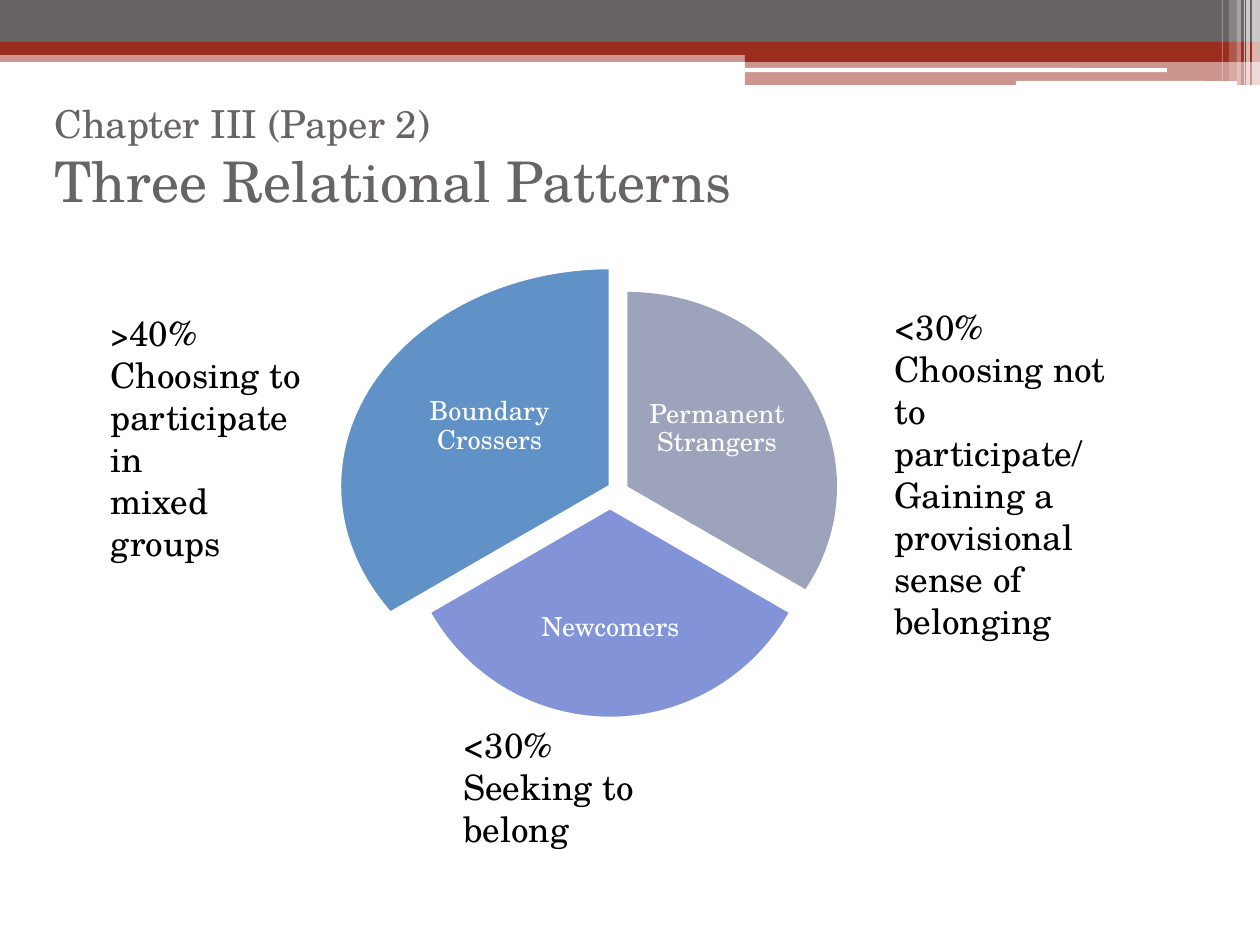
from lxml.etree import SubElement
from pptx import Presentation
from pptx.dml.color import RGBColor
from pptx.enum.shapes import MSO_SHAPE as Shape
from pptx.enum.text import MSO_ANCHOR as Anchor, MSO_AUTO_SIZE as AutoSize, PP_ALIGN as Align
from pptx.oxml.ns import qn
from pptx.util import Pt

FONT = "TeX Gyre Schola"
WHITE = RGBColor(0xFF, 0xFF, 0xFF)
BLACK = RGBColor(0x00, 0x00, 0x00)
GRAY = RGBColor(0x69, 0x64, 0x64)
RED = RGBColor(0x9B, 0x2D, 0x1F)
MAUVE = RGBColor(0x9E, 0xA3, 0xBC)
VIOLET = RGBColor(0x83, 0x93, 0xD7)
BLUE = RGBColor(0x60, 0x92, 0xC8)

TITLE = [("Chapter III (Paper 2) ", 22), ("Three Relational Patterns", 32)]
TITLE_AREA = (42, 73, 1134, 168)

BANDS = [
    (Shape.RECTANGLE, (0, 50, 1260, 12), RED, 50),
    (Shape.RECTANGLE, (0, 0, 1260, 43), GRAY, 100),
    (Shape.RECTANGLE, (0, 42, 1260, 13), RED, 100),
    (Shape.RECTANGLE, (745, 49, 515, 13), RED, 100),
    (Shape.RECTANGLE, (745, 61, 515, 24), RED, 50),
    (Shape.ROUNDED_RECTANGLE, (745, 68, 422, 4), WHITE, 100),
    (Shape.ROUNDED_RECTANGLE, (1016, 81, 221, 5), WHITE, 100),
]
STRIPES = [
    (1252, 8, 86, 65), (1246, 4, 86, 65), (1244, 1, 86, 60),
    (1237, 4, 86, 40), (1229, 8, 81, 20), (1222, 1, 81, 30),
]
SLICES = [
    ("Permanent Strangers", (418, 292, 419, 389), (162, 18), MAUVE, False, (646, 364, 142, 130)),
    ("Newcomers", (402, 298, 416, 420), (18, 90), VIOLET, True, (517, 563, 187, 130)),
    ("Boundary Crossers", (340, 268, 540, 436), (90, 162), BLUE, True, (398, 354, 183, 145)),
]
NOTES = [
    ((882, 299, 270, 310), [[("<30%", 20)], [("Choosing not to", 20)],
     [("participate/ Gaining a provisional sense of belonging", 20)]]),
    ((98, 305, 236, 224), [[(">", 18), ("40%", 20)], [("Choosing to", 20)],
     [("participate in", 20)], [("mixed groups", 20)]]),
    ((451, 717, 301, 97), [[("<30%", 20)], [("Seeking to belong", 20)]]),
]


def px(length):
    return round(length * 914400 / 126)


def place(area):
    return [px(length) for length in area]


def add_span(para, text, size, color):
    span = para.add_run()
    span.text = text
    span.font.name = FONT
    span.font.size = Pt(size)
    span.font.color.rgb = color


def add_filled(page, kind, area, color, opacity=100):
    shape = page.shapes.add_shape(kind, *place(area))
    shape.shadow.inherit = False
    shape.fill.solid()
    shape.fill.fore_color.rgb = color
    shape.line.fill.background()
    if opacity < 100:
        tint = shape.fill._xPr.find(qn("a:solidFill"))[0]
        SubElement(tint, qn("a:alpha")).set("val", str(opacity * 1000))
    return shape


def add_title(page):
    title = page.shapes.title
    title.left, title.top, title.width, title.height = place(TITLE_AREA)
    frame = title.text_frame
    frame.vertical_anchor = Anchor.MIDDLE
    frame.auto_size = AutoSize.NONE
    para = frame.paragraphs[0]
    para.alignment = Align.LEFT
    for index, (text, size) in enumerate(TITLE):
        if index:
            para.add_line_break()
        add_span(para, text, size, GRAY)


def add_slice(page, label, area, angles, color, outlined, label_area):
    pie = add_filled(page, Shape.PIE, area, color)
    for index, angle in enumerate(angles):
        pie.adjustments[index] = angle
    if outlined:
        pie.line.color.rgb = WHITE
        pie.line.width = Pt(1.5)
    frame = page.shapes.add_textbox(*place(label_area)).text_frame
    frame.word_wrap = True
    frame.vertical_anchor = Anchor.MIDDLE
    frame.margin_left = frame.margin_right = px(2)
    frame.margin_top = frame.margin_bottom = px(2)
    para = frame.paragraphs[0]
    para.alignment = Align.CENTER
    para.line_spacing = 0.9
    add_span(para, label, 15, WHITE)


def add_note(page, area, lines):
    frame = page.shapes.add_textbox(*place(area)).text_frame
    frame.word_wrap = True
    frame.auto_size = AutoSize.SHAPE_TO_FIT_TEXT
    for index, line in enumerate(lines):
        para = frame.add_paragraph() if index else frame.paragraphs[0]
        for text, size in line:
            add_span(para, text, size, BLACK)


def main():
    deck = Presentation()
    deck.slide_width, deck.slide_height = px(1260), px(945)
    page = deck.slides.add_slide(deck.slide_layouts[5])
    for band in BANDS:
        add_filled(page, *band)
    for left, width, height, opacity in STRIPES:
        add_filled(page, Shape.RECTANGLE, (left, 0, width, height), WHITE, opacity)
    add_title(page)
    for piece in SLICES:
        add_slice(page, *piece)
    for note in NOTES:
        add_note(page, *note)
    deck.save("out.pptx")


if __name__ == "__main__":
    main()
